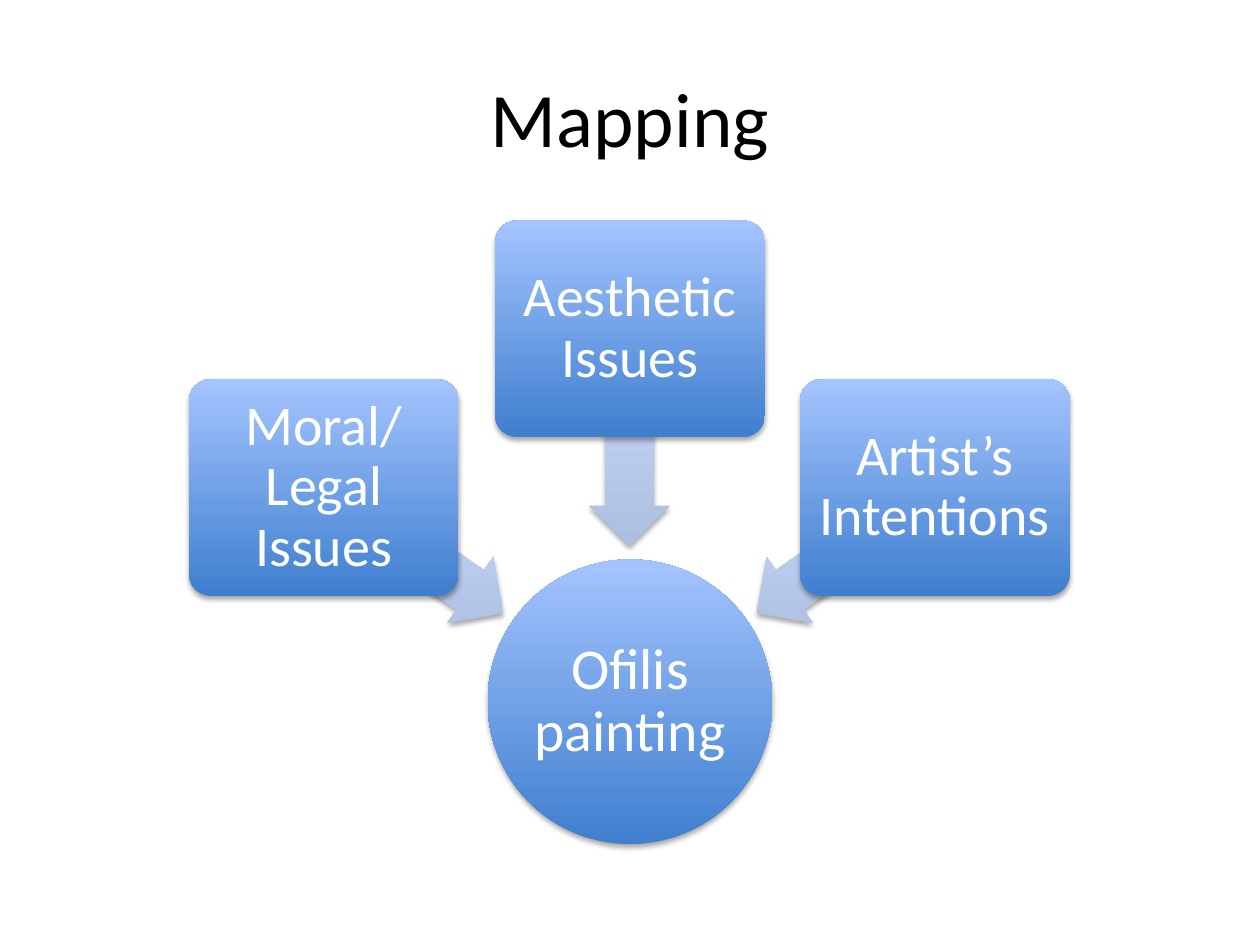
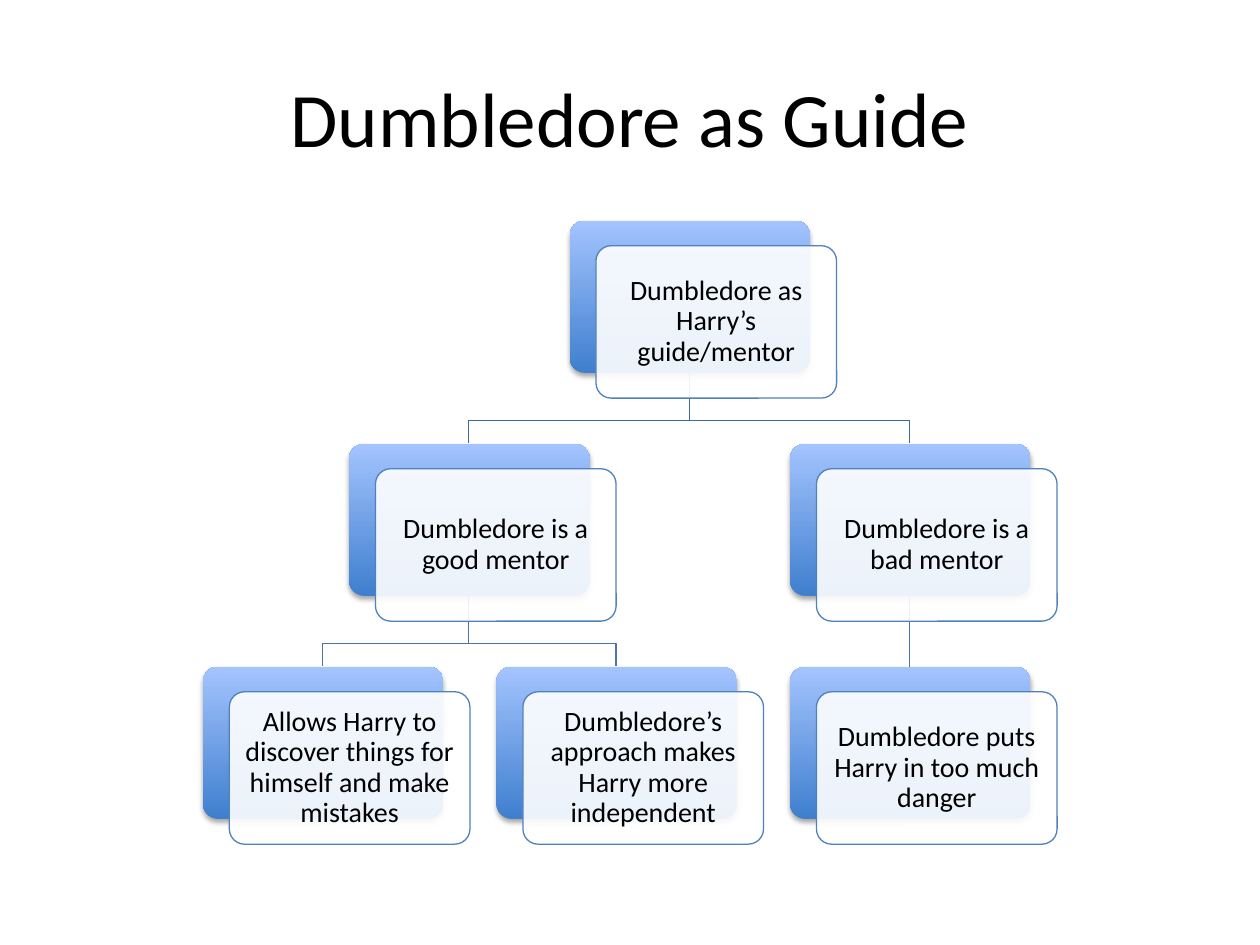
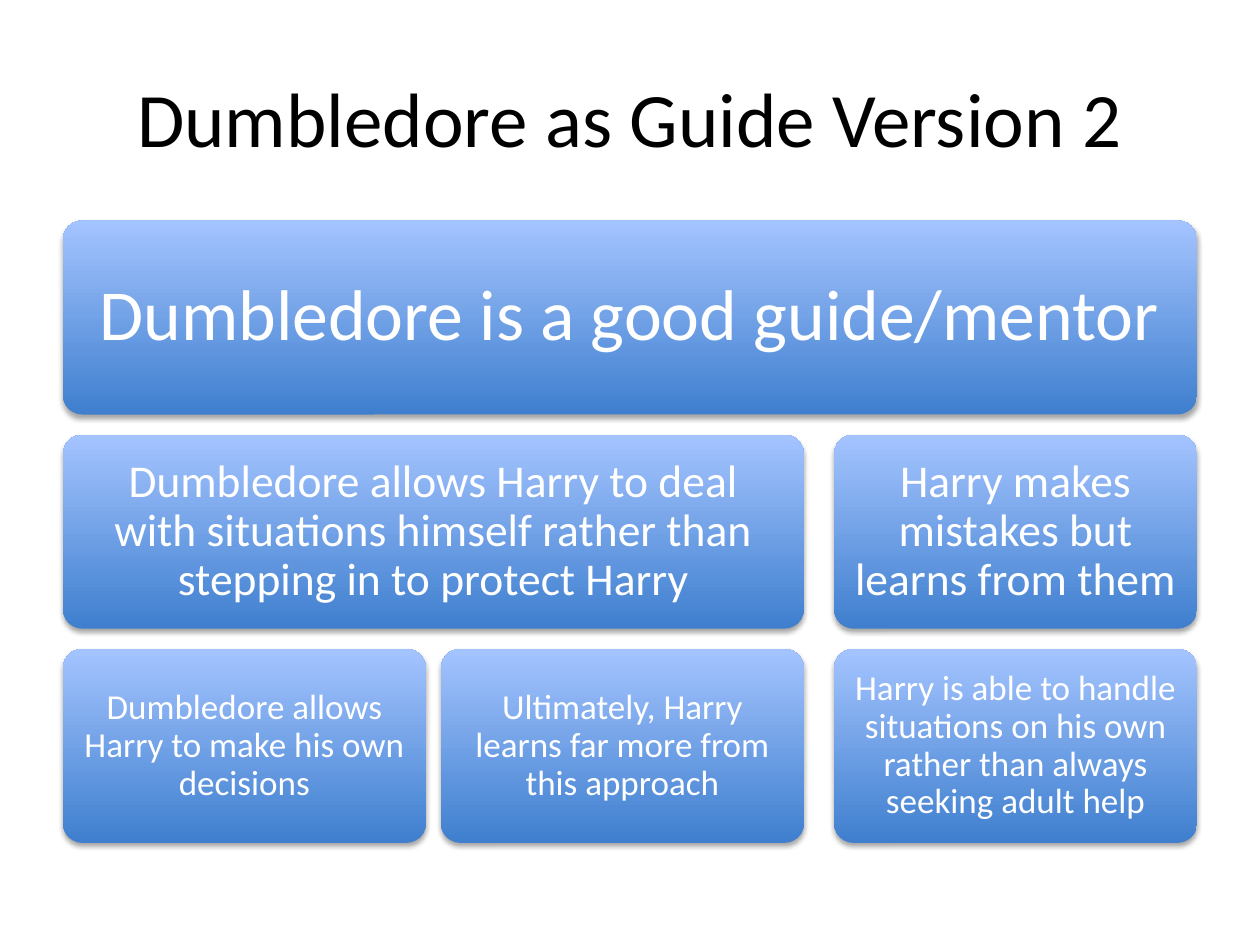
"""Build three slides of argument maps with gradient cards."""
from lxml import etree
from pptx import Presentation
from pptx import util as u
from pptx.dml.color import RGBColor
from pptx.enum import shapes, text
from pptx.oxml.ns import qn

PX = 9144
FONT = "Calibri"
BLACK = RGBColor(0x00, 0x00, 0x00)
WHITE = RGBColor(0xFF, 0xFF, 0xFF)
CARD_BLUES = RGBColor(0x3F, 0x7F, 0xCE), RGBColor(0xA4, 0xC4, 0xFF)
ARROW_BLUES = RGBColor(0xAD, 0xBF, 0xE1), RGBColor(0xCC, 0xDD, 0xFF)
OUTLINE = RGBColor(0x4F, 0x81, 0xBD)
LINK_BLUES = RGBColor(0x3F, 0x67, 0x97), RGBColor(0x48, 0x75, 0xAC)
KIND = shapes.MSO_SHAPE


def write(box, words, size=44, color=BLACK, inset=None, spacing=0.9):
    frame = box.text_frame
    frame.word_wrap = True
    frame.vertical_anchor = text.MSO_ANCHOR.MIDDLE
    if inset is not None:
        frame.margin_left = frame.margin_right = inset * PX
        frame.margin_top = frame.margin_bottom = inset * PX
    para = frame.paragraphs[0]
    para.alignment = text.PP_ALIGN.CENTER
    para.line_spacing = spacing
    span = para.add_run()
    span.text = words
    span.font.name = FONT
    span.font.size = u.Pt(size)
    span.font.color.rgb = color


def add_block(page, kind, left, top, width, height, blues=CARD_BLUES):
    block = page.shapes.add_shape(kind, left * PX, top * PX, width * PX, height * PX)
    if kind == KIND.ROUNDED_RECTANGLE:
        block.adjustments[0] = 0.1
    block.shadow.inherit = False
    if blues is None:
        block.fill.solid()
        block.fill.fore_color.rgb = WHITE
        tint = block._element.spPr.find(qn("a:solidFill"))[0]
        etree.SubElement(tint, qn("a:alpha"), val="90000")
        block.line.color.rgb = OUTLINE
        block.line.width = u.Pt(0.75)
        return block
    block.line.fill.background()
    block.fill.gradient()
    block.fill.gradient_angle = 90
    for stop, blue, position in zip(block.fill.gradient_stops, blues, (0, 1)):
        stop.color.rgb = blue
        stop.position = position
    props = block._element.spPr
    props.find(qn("a:gradFill")).set("rotWithShape", "0")
    shadow = etree.SubElement(props.find(qn("a:effectLst")), qn("a:outerShdw"),
                              blurRad="39370", dist="22860", dir="5400000", rotWithShape="0")
    shade = etree.SubElement(shadow, qn("a:srgbClr"), val="000000")
    etree.SubElement(shade, qn("a:alpha"), val="35000")
    return block


deck = Presentation()
deck.slide_width, deck.slide_height = 1000 * PX, 750 * PX
pages = []
for heading in ("Mapping", "Dumbledore as Guide", "Dumbledore as Guide Version 2"):
    page = deck.slides.add_slide(deck.slide_layouts[5])
    title = page.shapes.title
    title.left, title.top, title.width, title.height = 50 * PX, 30 * PX, 900 * PX, 125 * PX
    write(title, heading, spacing=1.0)
    pages.append(page)
mapping, tree, wall = pages

circle = add_block(mapping, KIND.OVAL, 387, 444, 226, 226)
write(circle, "Ofilis painting", size=33, color=WHITE, inset=2)
issues = (
    ("Moral/Legal Issues", 150, 301, 242, 405, 215),
    ("Aesthetic Issues", 393, 175, 413, 315, 270),
    ("Artist’s Intentions", 635, 301, 585, 405, 325),
)
for words, left, top, arrow_left, arrow_top, angle in issues:
    arrow = add_block(mapping, KIND.LEFT_ARROW, arrow_left, arrow_top, 173, 64, ARROW_BLUES)
    arrow.adjustments[0], arrow.adjustments[1] = 0.6, 0.5
    arrow.rotation = angle
    card = add_block(mapping, KIND.ROUNDED_RECTANGLE, left, top, 214, 172)
    write(card, words, size=32, color=WHITE, inset=7)

NODE_W, NODE_H, ROW_STEP = 191, 121, 177
nodes = (
    ("Dumbledore as Harry’s guide/mentor", 452, 0, None),
    ("Dumbledore is a good mentor", 277, 1, 0),
    ("Allows Harry to discover things for himself and make mistakes", 161, 2, 1),
    ("Dumbledore’s approach makes Harry more independent", 394, 2, 1),
    ("Dumbledore is a bad mentor", 627, 1, 0),
    ("Dumbledore puts Harry in too much danger", 627, 2, 4),
)
for words, left, row, parent in nodes:
    if parent is None:
        continue
    end_x, end_y = left + NODE_W // 2, 175 + row * ROW_STEP
    start_x, start_y = nodes[parent][1] + NODE_W // 2, end_y - ROW_STEP + NODE_H
    if start_x == end_x:
        link = tree.shapes.add_connector(shapes.MSO_CONNECTOR.STRAIGHT, start_x * PX,
                                         start_y * PX, end_x * PX, end_y * PX)
        etree.SubElement(link._element.spPr, qn("a:effectLst"))
    else:
        bend_y = start_y + 38
        outline = tree.shapes.build_freeform(start_x, start_y, scale=PX)
        outline.add_line_segments(
            ((start_x, bend_y), (end_x, bend_y), (end_x, end_y)), close=False)
        link = outline.convert_to_shape()
        link.fill.background()
        link.shadow.inherit = False
    link.line.color.rgb = LINK_BLUES[row - 1]
    link.line.width = u.Pt(0.75)
for words, left, row, parent in nodes:
    top = 175 + row * ROW_STEP
    add_block(tree, KIND.ROUNDED_RECTANGLE, left, top, NODE_W, NODE_H)
    front = add_block(tree, KIND.ROUNDED_RECTANGLE, left + 21, top + 20, NODE_W, NODE_H, None)
    write(front, words, size=16, inset=7)

wall_rows = (
    (41, 17, (("Dumbledore is a good guide/mentor", 50, 900),)),
    (26, 11, (
        ("Dumbledore allows Harry to deal with situations himself rather than "
         "stepping in to protect Harry", 50, 588),
        ("Harry makes mistakes but learns from them", 662, 288),
    )),
    (20, 8, (
        ("Dumbledore allows Harry to make his own decisions", 50, 288),
        ("Ultimately, Harry learns far more from this approach", 350, 288),
        ("Harry is able to handle situations on his own rather than always "
         "seeking adult help", 662, 288),
    )),
)
for row, (size, inset, bricks) in enumerate(wall_rows):
    for words, left, width in bricks:
        brick = add_block(wall, KIND.ROUNDED_RECTANGLE, left, 175 + row * 170, width, 154)
        write(brick, words, size=size, color=WHITE, inset=inset)

deck.save("out.pptx")
